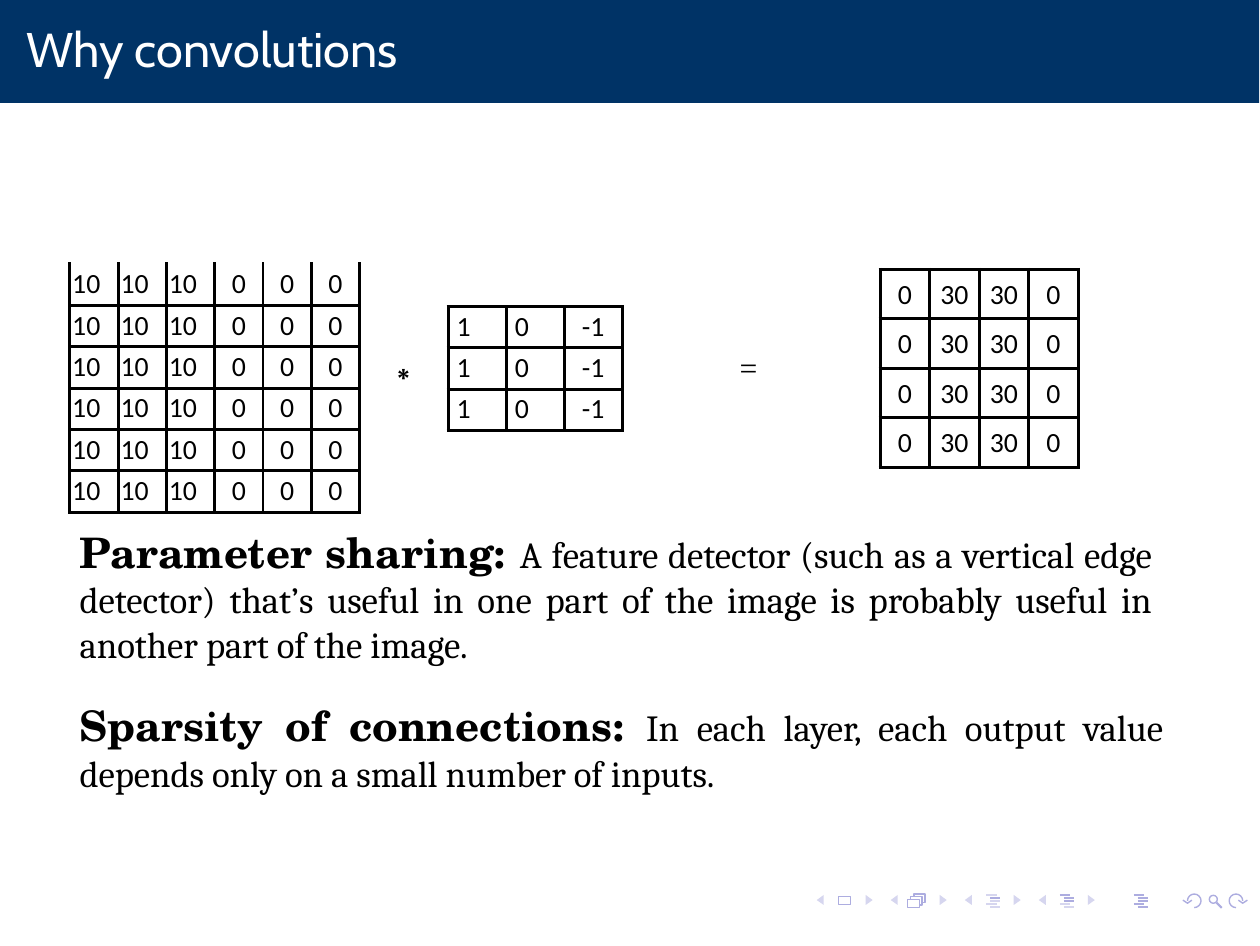
"""Build the slide on why convolutions are used."""
from math import cos, radians, sin

from lxml.etree import SubElement as Sub
from pptx import Presentation
from pptx.dml.color import RGBColor as Rgb
from pptx.enum.shapes import MSO_CONNECTOR as Link, MSO_SHAPE as Shape
from pptx.enum.text import MSO_ANCHOR as Anchor, MSO_AUTO_SIZE as Auto, PP_ALIGN as Align
from pptx.oxml.ns import qn
from pptx.util import Pt

HUES = {"ink": "000000", "band": "003366", "white": "FFFFFF",
        "dark": "ADADE0", "pale": "D6D6EF"}
TITLE = "Why convolutions"
GRIDS = [
    {"rows": [["10"] * 3 + ["0"] * 3] * 6, "at": (20.1, 75.6), "cell": (13.92, 11.93),
     "top": 0.9, "first": 1.4, "extra": 0.5, "right": 3, "gap": 5.1, "open": True},
    {"rows": [["1", "0", "-1"]] * 3, "at": (129.1, 88.3), "cell": (16.75, 11.93),
     "top": 0.9, "first": 0.9, "extra": 0, "right": 2, "gap": 10.2, "open": False},
    {"rows": [["0", "30", "30", "0"]] * 4, "at": (253.6, 77.6), "cell": (14.27, 14.27),
     "top": 2.3, "first": 2.3, "extra": 0, "right": 0, "gap": 0, "open": False},
]
SIGNS = [("∗", (111.2, 99, 6, 13), 10.6), ("=", (213.1, 99.3, 7.2, 11.5), 9.1)]
NOTES = [
    ("Parameter sharing: ",
     "A feature detector (such as a vertical edge detector) that’s useful in one part "
     "of the image is probably useful in another part of the image.",
     {"line_spacing": 1.01}, 3.2),
    ("Sparsity of connections: ",
     "In each layer, each output value depends only on a small number of inputs.",
     {"line_spacing": 1.02, "space_before": Pt(9.3)}, 0),
]
BARS = [(284.2, "pale dark pale pale pale"), (305.4, "dark dark dark pale pale"),
        (326.7, "dark dark dark dark dark")]
SHIFTS = [0, 1.1, 1.1, 0, 1.1]
PLAIN = {"margin_left": 0, "margin_right": 0, "margin_top": 0, "margin_bottom": 0}
FRAME = PLAIN | {"word_wrap": True, "auto_size": Auto.NONE, "vertical_anchor": Anchor.TOP}


def put(item, form):
    for name, value in form.items():
        setattr(item, name, value)


def hue(name):
    return Rgb.from_string(HUES[name])


def pts(*nums):
    return [Pt(num) for num in nums]


def write(para, text, face, size, tint="ink", bold=False):
    run = para.add_run()
    run.text = text
    put(run.font, {"name": face, "size": Pt(size), "bold": bold})
    run.font.color.rgb = hue(tint)


def paint(shape, fill=None, line=None):
    shape.shadow.inherit = False
    if fill:
        shape.fill.solid()
        shape.fill.fore_color.rgb = hue(fill)
    else:
        shape.fill.background()
    if line:
        shape.line.color.rgb = hue(line)
        shape.line.width = Pt(0.4)
    else:
        shape.line.fill.background()


def trace(dots, fill=None, line=None):
    start, *rest = [pts(*dot) for dot in dots]
    form = shapes.build_freeform(*start)
    form.add_line_segments(rest, close=bool(fill))
    paint(form.convert_to_shape(), fill, line)


def box(kind, spot, fill=None, line=None):
    paint(shapes.add_shape(kind, *pts(*spot)), fill, line)


def rule(ends, tint):
    line = shapes.add_connector(Link.STRAIGHT, *pts(*ends))
    line.line.color.rgb = hue(tint)
    line.line.width = Pt(0.6)
    Sub(line.element.spPr, qn("a:effectLst"))


def edge(cell, bare):
    props = cell._tc.get_or_add_tcPr()
    for side in "LRTB":
        line = Sub(props, qn("a:ln" + side), w=str(Pt(1)))
        if side == "T" and bare:
            Sub(line, qn("a:noFill"))
        else:
            Sub(Sub(line, qn("a:solidFill")), qn("a:srgbClr"), val=HUES["ink"])


def draw_grid(grid):
    rows, (wide, high) = grid["rows"], grid["cell"]
    count = len(rows[0])
    size = wide * count, high * len(rows) + grid["extra"]
    table = shapes.add_table(len(rows), count, *pts(*grid["at"], *size)).table
    put(table, {"first_row": False, "horz_banding": False})
    for col in table.columns:
        col.width = Pt(wide)
    for i, row in enumerate(rows):
        table.rows[i].height = Pt(high if i else high + grid["extra"])
        for j, text in enumerate(row):
            cell, right = table.cell(i, j), j < grid["right"]
            put(cell, PLAIN | {"margin_top": Pt(grid["top"] if i else grid["first"]),
                               "margin_right": Pt(grid["gap"] if right else 0)})
            edge(cell, grid["open"] and i == 0)
            cell.fill.background()
            para = cell.text_frame.paragraphs[0]
            para.alignment = Align.RIGHT if right else Align.CENTER
            write(para, text, "Calibri", 8)


def text_box(spot, top=0):
    frame = shapes.add_textbox(*pts(*spot)).text_frame
    put(frame, FRAME | {"margin_top": Pt(top)})
    return frame


def draw_nav():
    for i in range(4):
        left = 235.3 + 21.33 * i
        for tip, base in ((left, left + 2), (left + 16.1, left + 14.1)):
            trace([(base, 257.8), (tip, 259.3), (base, 260.7)], fill="pale")
    box(Shape.RECTANGLE, (241.6, 258.2, 3.4, 2.4), line="dark")
    box(Shape.RECTANGLE, (261.5, 259.1, 3.4, 2.4), line="dark")
    for x, y in ((262.4, 258.3), (263.3, 257.5)):
        trace([(x, y + 0.8), (x, y), (x + 3.2, y), (x + 3.2, y + 2.4), (x + 2.3, y + 2.4)],
              line="dark")
    for left, tints in BARS:
        for i, (shift, tint) in enumerate(zip(SHIFTS, tints.split())):
            x, y = left + shift, 257.8 + 0.9 * i
            rule((x, y, x + 2.9, y), tint)
    box(Shape.OVAL, (348.4, 257.9, 2.3, 2.3), line="dark")
    rule((350.5, 260, 352, 261.5), "dark")
    for mid, side in ((344.1, 1), (356.1, -1)):
        turns = [radians(90 - 22.5 * i) for i in range(13)]
        trace([(mid + side * 1.95 * cos(t), 259.5 + 1.95 * sin(t)) for t in turns], line="dark")
        trace([(mid - side * x, y) for x, y in ((0.7, 259.3), (1.95, 260.2), (3.3, 259.3))],
              line="dark")


deck = Presentation()
deck.slide_width = Pt(363)
deck.slide_height = Pt(272.5)
slide = deck.slides.add_slide(deck.slide_layouts[5])
shapes = slide.shapes

draw_nav()
box(Shape.RECTANGLE, (0, 0, 362.84, 29.7), fill="band")

title = shapes.title
put(title, dict(zip(("left", "top", "width", "height"), pts(7.6, 5.3, 280.8, 17.3))))
put(title.text_frame, FRAME)
head = title.text_frame.paragraphs[0]
head.alignment = Align.LEFT
write(head, TITLE, "Cabin", 14, "white")
shapes.element.append(title.element)

for grid in GRIDS:
    draw_grid(grid)
for sign, spot, size in SIGNS:
    write(text_box(spot, 0.9).paragraphs[0], sign, "Times New Roman", size)

body = text_box((23, 151.5, 312.1, 77))
for i, (lead, text, form, inset) in enumerate(NOTES):
    para = body.add_paragraph() if i else body.paragraphs[0]
    put(para, form | {"alignment": Align.JUSTIFY})
    para._p.get_or_add_pPr().set("marR", str(Pt(inset)))
    write(para, lead, "TeX Gyre Schola", 12.1, bold=True)
    write(para, text, "Cambria", 10.6)

deck.save("out.pptx")
